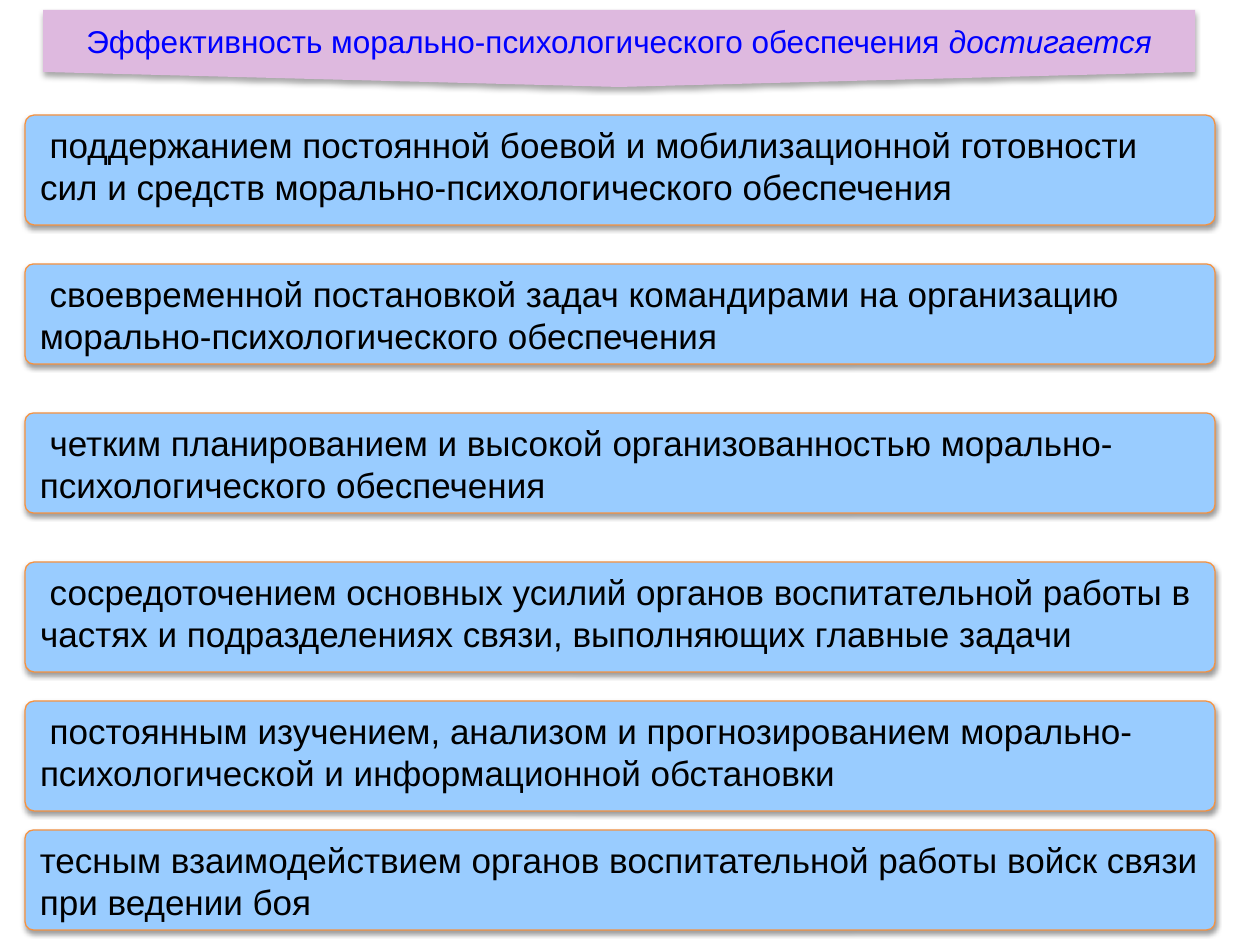
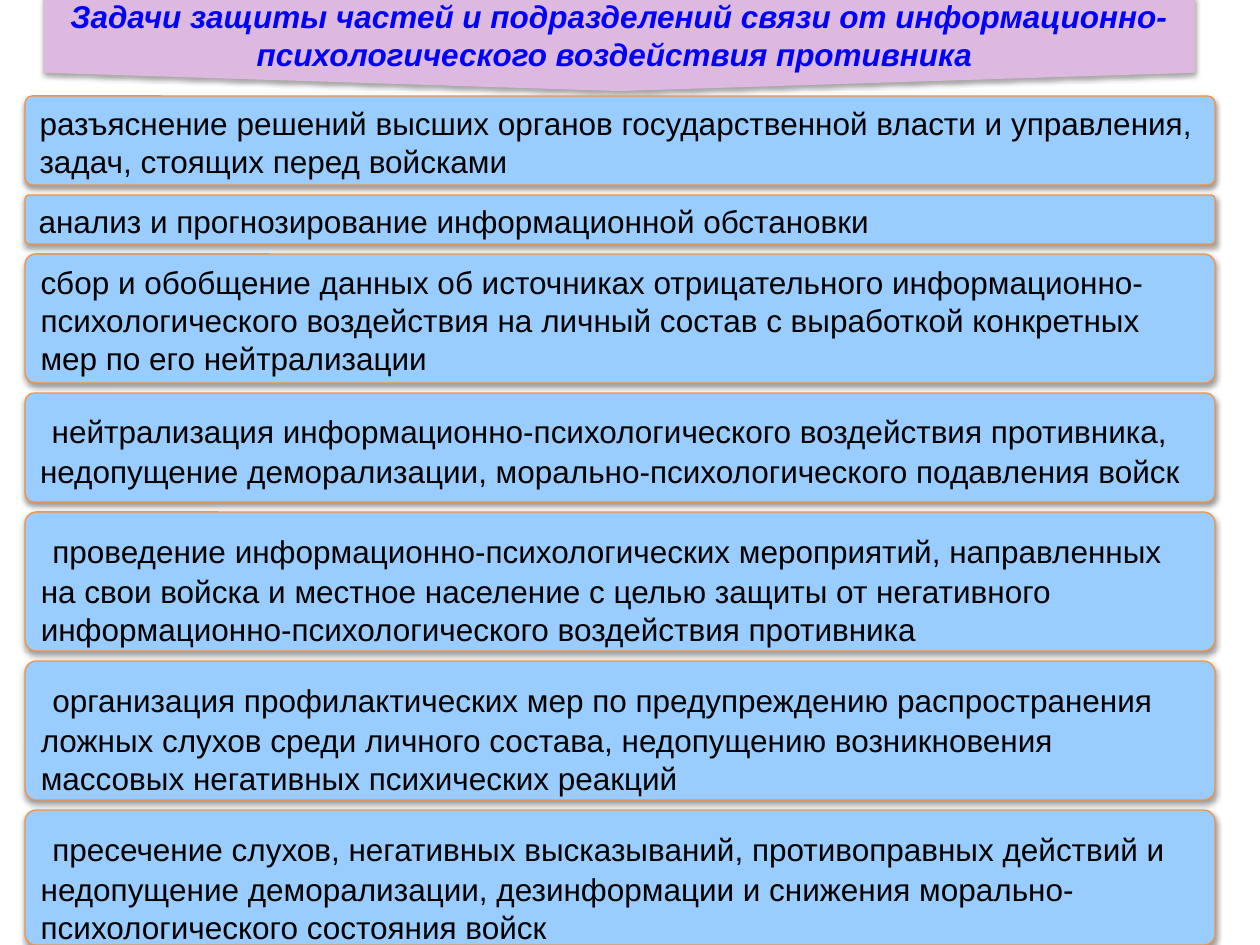
from dataclasses import dataclass

from lxml.etree import SubElement
from pptx import Presentation
from pptx.dml.color import RGBColor
from pptx.enum.shapes import MSO_SHAPE as Shape
from pptx.enum.text import MSO_ANCHOR as Anchor, PP_ALIGN as Align
from pptx.oxml.ns import qn
from pptx.util import Emu, Pt

SCALE = 914400 / 126  # EMU in one px


def px(length):
    return Emu(round(length * SCALE))


@dataclass(frozen=True)
class Theme:
    font: str = "Arial"
    banner_fill: str = "DEB9DF"
    banner_text: str = "0000FF"
    card_fill: str = "99CCFF"
    card_line: str = "F69240"
    card_text: str = "000000"
    shadow: str = "000000"
    title_size: int = 18
    large_size: int = 20
    body_size: int = 18
    lead_size: int = 24


def add_text(paragraph, text, *, font, size, color, bold=False, italic=False):
    run = paragraph.add_run()
    run.text = text
    run.font.name = font
    run.font.size = Pt(size)
    run.font.color.rgb = RGBColor.from_string(color)
    run.font.bold = bold
    run.font.italic = italic


class Deck:
    CARD_LEFT, CARD_WIDTH = 25, 1190
    BANNER_LEFT, BANNER_WIDTH = 43, 1152

    def __init__(self, theme):
        self.theme = theme
        self.presentation = Presentation()
        self.presentation.slide_width = px(1260)
        self.presentation.slide_height = px(945)
        self.slide = None

    def new_slide(self):
        blank = self.presentation.slide_layouts[6]
        self.slide = self.presentation.slides.add_slide(blank)

    def shadow(self, shape, distance, opacity):
        shape.shadow.inherit = False
        effects = shape._element.spPr.find(qn("a:effectLst"))
        outer = SubElement(effects, qn("a:outerShdw"), blurRad=str(Pt(3.1)),
                           dist=str(Pt(distance)), dir="5400000", rotWithShape="0")
        color = SubElement(outer, qn("a:srgbClr"), val=self.theme.shadow)
        SubElement(color, qn("a:alpha"), val=str(opacity * 1000))

    def box(self, kind, left, top, width, height, fill, adjustments):
        shape = self.slide.shapes.add_shape(
            kind, px(left), px(top), px(width), px(height))
        for index, value in enumerate(adjustments):
            shape.adjustments[index] = value
        shape.fill.solid()
        shape.fill.fore_color.rgb = RGBColor.from_string(fill)
        shape.text_frame.word_wrap = True
        return shape

    def banner(self, top, height, parts):
        """Title arrow; parts are (text, format) pairs."""
        theme = self.theme
        shape = self.box(Shape.DOWN_ARROW, self.BANNER_LEFT, top, self.BANNER_WIDTH,
                         height, theme.banner_fill, (1, 0.195))
        shape.line.fill.background()
        self.shadow(shape, 1.8, 35)
        shape.text_frame.vertical_anchor = Anchor.MIDDLE
        paragraph = shape.text_frame.paragraphs[0]
        paragraph.alignment = Align.CENTER
        for text, style in parts:
            add_text(paragraph, text, font=theme.font, size=theme.title_size,
                     color=theme.banner_text, **style)

    def card(self, top, height, text, size, lead_size=None):
        """Rounded card; a leading space may have its own size."""
        theme = self.theme
        shape = self.box(Shape.ROUNDED_RECTANGLE, self.CARD_LEFT, top, self.CARD_WIDTH,
                         height, theme.card_fill, (0.083,))
        shape.line.color.rgb = RGBColor.from_string(theme.card_line)
        shape.line.width = Pt(0.75)
        self.shadow(shape, 1.6, 38)
        shape.text_frame.vertical_anchor = Anchor.TOP
        paragraph = shape.text_frame.paragraphs[0]
        paragraph.alignment = Align.LEFT
        style = dict(font=theme.font, color=theme.card_text)
        if lead_size:
            add_text(paragraph, " ", size=lead_size, **style)
        add_text(paragraph, text, size=size, **style)


# Cards of the first slide: top, height, text
CONDITIONS = [
    (115, 110, " поддержанием постоянной боевой и мобилизационной готовности сил и средств "
               "морально-психологического обеспечения"),
    (264, 100, " своевременной постановкой задач командирами на организацию "
               "морально-психологического обеспечения"),
    (413, 100, " четким планированием и высокой организованностью "
               "морально-психологического обеспечения"),
    (562, 110, " сосредоточением основных усилий органов воспитательной работы в частях и "
               "подразделениях связи, выполняющих главные задачи"),
    (701, 110, " постоянным изучением, анализом и прогнозированием "
               "морально-психологической и информационной обстановки"),
    (830, 100, "тесным взаимодействием органов воспитательной работы войск связи "
               "при ведении боя"),
]

# Cards of the second slide: height, whether a wide space leads, text
TASKS = [
    (89, False, "разъяснение решений высших органов государственной власти и управления, "
                "задач, стоящих перед войсками"),
    (49, False, "анализ и прогнозирование информационной обстановки"),
    (129, False, "сбор и обобщение данных об источниках отрицательного "
                 "информационно-психологического воздействия на личный состав с выработкой "
                 "конкретных мер по его нейтрализации"),
    (109, True, "нейтрализация информационно-психологического воздействия противника, "
                "недопущение деморализации, морально-психологического подавления войск"),
    (139, True, "проведение информационно-психологических мероприятий, направленных на свои "
                "войска и местное население с целью защиты от негативного "
                "информационно-психологического воздействия противника"),
    (139, True, "организация профилактических мер по предупреждению распространения ложных "
                "слухов среди личного состава, недопущению возникновения массовых "
                "негативных психических реакций"),
    (135, True, "пресечение слухов, негативных высказываний, противоправных действий и "
                "недопущение деморализации, дезинформации и снижения "
                "морально-психологического состояния войск"),
]
TASKS_TOP, TASKS_GAP = 96, 10


def build_conditions(deck):
    deck.new_slide()
    deck.banner(10, 77, [
        ("Эффективность морально-психологического обеспечения ", {}),
        ("достигается", {"italic": True}),
    ])
    for top, height, text in CONDITIONS:
        deck.card(top, height, text, deck.theme.large_size)


def build_tasks(deck):
    deck.new_slide()
    deck.banner(-3, 94, [
        ("Задачи защиты частей и подразделений связи от информационно-психологического "
         "воздействия противника ", {"bold": True, "italic": True}),
    ])
    top = TASKS_TOP
    for height, has_lead, text in TASKS:
        lead_size = deck.theme.lead_size if has_lead else None
        deck.card(top, height, text, deck.theme.body_size, lead_size)
        top += height + TASKS_GAP


def main():
    deck = Deck(Theme())
    build_conditions(deck)
    build_tasks(deck)
    deck.presentation.save("out.pptx")


if __name__ == "__main__":
    main()
